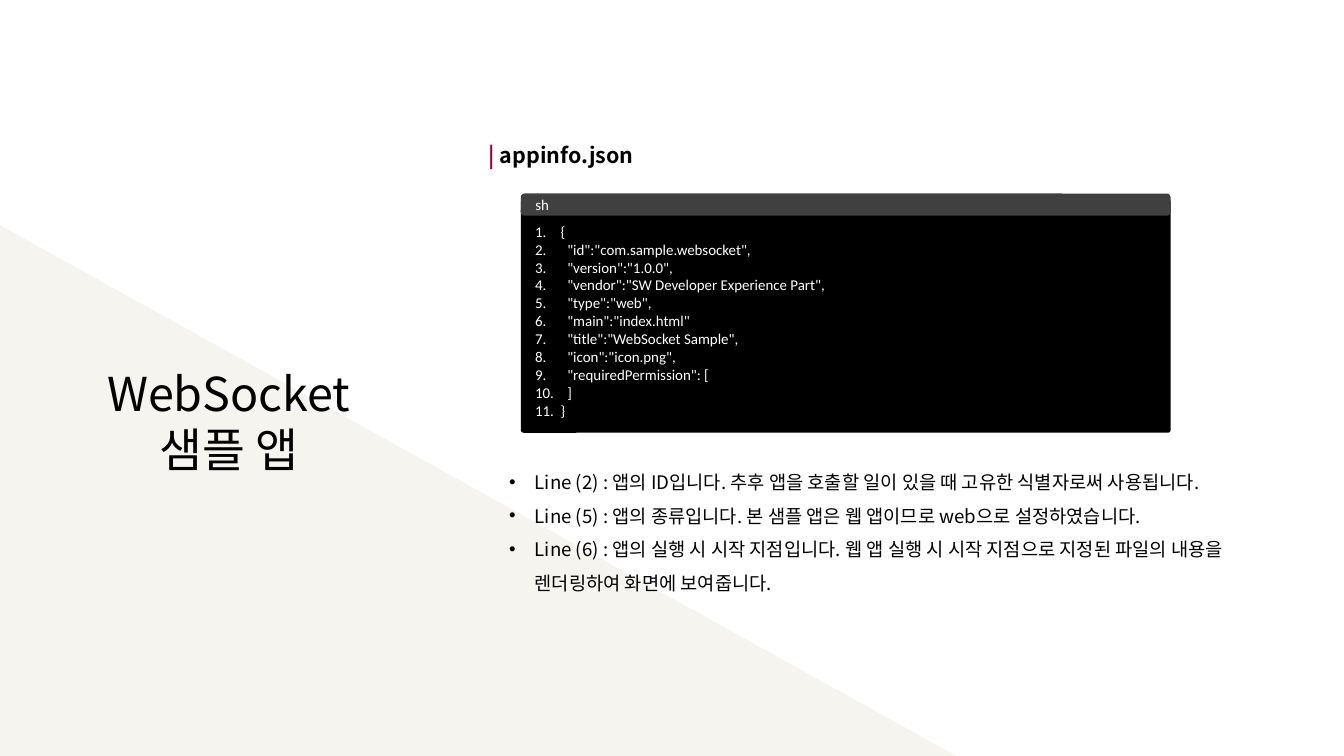
from lxml.etree import SubElement
from pptx import Presentation
from pptx.dml.color import RGBColor
from pptx.enum.shapes import MSO_SHAPE
from pptx.enum.text import MSO_ANCHOR, PP_ALIGN
from pptx.oxml.ns import qn
from pptx.util import Inches, Pt

KOREAN = "Noto Sans CJK KR"
LATIN = "Calibri"
CODE = [
    (0, '{'),
    (1, '"id":"com.sample.websocket",'),
    (1, '"version":"1.0.0",'),
    (1, '"vendor":"SW Developer Experience Part",'),
    (1, '"type":"web",'),
    (1, '"main":"index.html"'),
    (1, '"title":"WebSocket Sample",'),
    (1, '"icon":"icon.png",'),
    (1, '"requiredPermission": ['),
    (1, ']'),
    (0, '}'),
]
NOTES = [
    "Line (2) : 앱의 ID입니다. 추후 앱을 호출할 일이 있을 때 고유한 식별자로써 사용됩니다.",
    "Line (5) : 앱의 종류입니다. 본 샘플 앱은 웹 앱이므로 web으로 설정하였습니다.",
    "Line (6) : 앱의 실행 시 시작 지점입니다. 웹 앱 실행 시 시작 지점으로 지정된 파일의 내용을 "
    "렌더링하여 화면에 보여줍니다.",
]


def rgb(color):
    return RGBColor.from_string(color)


def add_run(p, text, size, font, color="000000", bold=False):
    r = p.add_run()
    r.text = text
    r.font.size = Pt(size)
    r.font.name = font
    r.font.bold = bold
    r.font.color.rgb = rgb(color)
    SubElement(r._r.get_or_add_rPr(), qn("a:ea"), typeface=font)


def add_paragraphs(tf, count):
    return [tf.paragraphs[0]] + [tf.add_paragraph() for _ in range(count - 1)]


def set_bullet(p, margin, tag, **attrs):
    pPr = p._p.get_or_add_pPr()
    pPr.set("marL", str(Inches(margin)))
    pPr.set("indent", str(-Inches(margin)))
    SubElement(pPr, qn("a:buFont"), typeface="Arial" if tag == "a:buChar" else "+mj-lt")
    SubElement(pPr, qn(tag), **attrs)


def add_textbox(s, x, y, w, h):
    tf = s.shapes.add_textbox(Inches(x), Inches(y), Inches(w), Inches(h)).text_frame
    tf.word_wrap = True
    return tf


def add_panel(s, kind, x, y, w, h, color):
    sp = s.shapes.add_shape(kind, Inches(x), Inches(y), Inches(w), Inches(h))
    sp.shadow.inherit = False
    sp.fill.solid()
    sp.fill.fore_color.rgb = rgb(color)
    sp.line.fill.background()
    return sp


def set_frame(sp, top, bottom):
    tf = sp.text_frame
    tf.word_wrap = True
    tf.vertical_anchor = MSO_ANCHOR.MIDDLE
    tf.margin_left, tf.margin_right = Inches(0.2), Inches(0.1)
    tf.margin_top, tf.margin_bottom = Inches(top), Inches(bottom)
    return tf


def add_backdrop(s, x, y, w, h):
    sp = add_panel(s, MSO_SHAPE.ISOSCELES_TRIANGLE, x, y, w, h, "F6F4EF")
    sp.adjustments[0] = 0


def add_heading(s, x, y, w, h):
    p = add_textbox(s, x, y, w, h).paragraphs[0]
    add_run(p, "| ", 23, KOREAN, "A50034", True)
    add_run(p, "appinfo.json", 23, KOREAN, bold=True)


def add_title(s, x, y, w, h):
    lines = ["WebSocket", "샘플 앱"]
    tf = add_textbox(s, x, y, w, h)
    for p, text in zip(add_paragraphs(tf, len(lines)), lines):
        p.alignment = PP_ALIGN.CENTER
        add_run(p, text, 50, KOREAN)


def add_notes(s, x, y, w, h):
    tf = add_textbox(s, x, y, w, h)
    for p, text in zip(add_paragraphs(tf, len(NOTES)), NOTES):
        p.line_spacing = 1.5
        set_bullet(p, 0.38, "a:buChar", char="•")
        add_run(p, text, 20, KOREAN)


def add_code(s, x, y, w, h):
    bar_h, drop = 0.33, 0.08
    body = add_panel(s, MSO_SHAPE.ROUNDED_RECTANGLE, x, y + drop, w, h - drop, "000000")
    body.adjustments[0] = 0.012
    tf = set_frame(body, 0.39, 0.24)
    for p, (level, text) in zip(add_paragraphs(tf, len(CODE)), CODE):
        p.alignment = PP_ALIGN.LEFT
        set_bullet(p, 0.38 + 0.1 * level, "a:buAutoNum", type="arabicPeriod")
        add_run(p, text, 16, LATIN, "FFFFFF")

    bar = add_panel(s, MSO_SHAPE.ROUNDED_RECTANGLE, x, y, w, bar_h, "404040")
    p = set_frame(bar, 0.05, 0.05).paragraphs[0]
    p.alignment = PP_ALIGN.LEFT
    add_run(p, "sh", 16, LATIN, "FFFFFF")


def main():
    prs = Presentation()
    prs.slide_width, prs.slide_height = Inches(20), Inches(11.25)
    s = prs.slides.add_slide(prs.slide_layouts[6])
    add_backdrop(s, -0.42, 3.12, 14.65, 8.13)
    add_heading(s, 7.17, 2.07, 9.42, 0.49)
    add_title(s, 1.03, 5.38, 4.75, 1.78)
    add_notes(s, 7.48, 6.79, 11.27, 2.07)
    add_code(s, 7.75, 2.88, 9.67, 3.56)
    prs.save("out.pptx")


if __name__ == "__main__":
    main()
